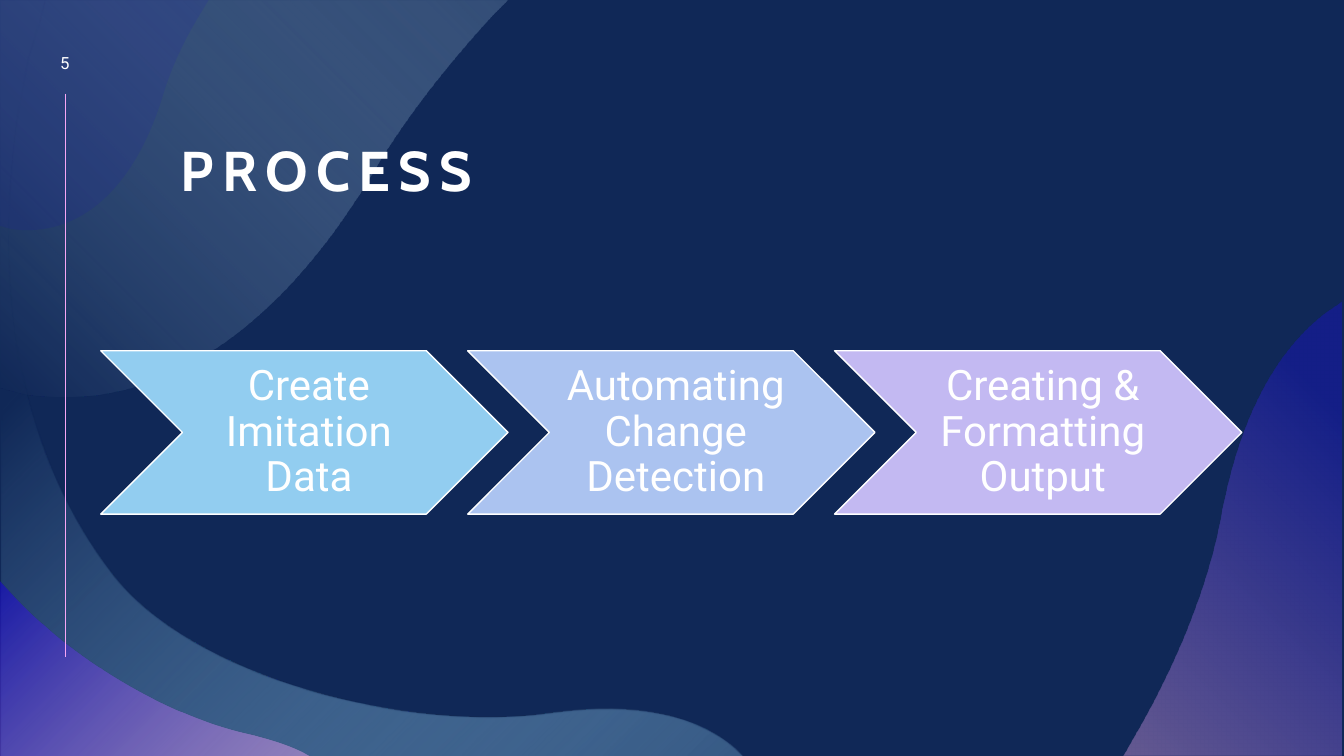
from lxml import etree
from pptx import Presentation
from pptx import util as u
from pptx.dml.color import RGBColor
from pptx.enum import shapes, text
from pptx.oxml import ns

NAVY, WHITE, SKY, PINK, BLUE = "102857", "FFFFFF", "92CDF0", "F6A6F4", "180DC2"


def color(code):
    return RGBColor.from_string(code)


def length(inches):
    return u.Cm(inches * 2.54)


def add(parent, tag, **attributes):
    return etree.SubElement(parent, ns.qn(tag), attributes)


def write(frame, content, size, font="Roboto", bold=False, align="LEFT", anchor="MIDDLE",
          line_spacing=1.0, letter_spacing=0, insets=(0.1, 0.05, 0.1, 0.05)):
    frame.word_wrap = True
    frame.auto_size = text.MSO_AUTO_SIZE.NONE
    frame.vertical_anchor = text.MSO_ANCHOR[anchor]
    frame.margin_left, frame.margin_top, frame.margin_right, frame.margin_bottom = map(
        length, insets)
    para = frame.paragraphs[0]
    para.alignment = text.PP_ALIGN[align]
    para.line_spacing = line_spacing
    span = para.add_run()
    span.text = content
    span.font.name, span.font.size, span.font.bold = font, u.Pt(size), bold
    span.font.color.rgb = color(WHITE)
    if letter_spacing:
        span.font._element.set("spc", str(letter_spacing * 100))


class Slide:
    def __init__(self, deck):
        self.page = deck.slides.add_slide(deck.slide_layouts[5])
        self.page.background.fill.solid()
        self.page.background.fill.fore_color.rgb = color(NAVY)

    def wave(self, start, segments, stops, angle=None, focus=None):
        """Draw a closed outline: pairs are lines, sixes are cubic curves."""
        builder = self.page.shapes.build_freeform(*map(length, start))
        builder.add_line_segments(
            [tuple(map(length, segment[-2:])) for segment in segments], close=True)
        shape = builder.convert_to_shape()
        lines = list(shape._element.spPr.iter(ns.qn("a:lnTo")))
        for line, segment in zip(lines, segments):
            if len(segment) == 6:
                self.bend(shape, line, segment)
        shape.shadow.inherit = False
        shape.line.fill.background()
        shape.fill.background()
        self.translucent(shape, stops, angle, focus)

    def bend(self, shape, line, controls):
        """Turn a straight segment of the outline into a cubic curve."""
        bezier = etree.Element(ns.qn("a:cubicBezTo"))
        for x, y in zip(controls[::2], controls[1::2]):
            add(bezier, "a:pt", x=str(length(x) - shape.left), y=str(length(y) - shape.top))
        line.getparent().replace(line, bezier)

    def translucent(self, shape, stops, angle, focus):
        """Fill with (position, colour, opacity) stops; one stop gives a plain fill."""
        def add_color(parent, code, opacity):
            add(add(parent, "a:srgbClr", val=code), "a:alpha", val=str(opacity * 1000))

        properties = shape._element.spPr
        empty = properties.find(ns.qn("a:noFill"))
        if len(stops) == 1:
            fill = etree.Element(ns.qn("a:solidFill"))
            add_color(fill, *stops[0][1:])
        else:
            fill = etree.Element(ns.qn("a:gradFill"), rotWithShape="1")
            stop_list = add(fill, "a:gsLst")
            for position, code, opacity in stops:
                add_color(add(stop_list, "a:gs", pos=str(position * 1000)), code, opacity)
            if focus:
                sides = {side: str(value * 1000) for side, value in zip("ltrb", focus)}
                add(add(fill, "a:path", path="circle"), "a:fillToRect", **sides)
            else:
                add(fill, "a:lin", ang=str(angle * 60000), scaled="0")
        properties.replace(empty, fill)

    def line(self, x1, y1, x2, y2, code, width):
        rule = self.page.shapes.add_connector(
            shapes.MSO_CONNECTOR.STRAIGHT, *map(length, (x1, y1, x2, y2)))
        rule.line.color.rgb = color(code)
        rule.line.width = u.Pt(width)
        add(rule._element.spPr, "a:effectLst")

    def title(self, content, left, top, width, height, **style):
        box = self.page.shapes.title
        box.left, box.top, box.width, box.height = map(length, (left, top, width, height))
        write(box.text_frame, content, **style)
        self.page.shapes._spTree.append(box._element)  # bring in front of the waves

    def label(self, content, left, top, width, height, **style):
        box = self.page.shapes.add_textbox(*map(length, (left, top, width, height)))
        write(box.text_frame, content, **style)

    def chevron(self, left, top, width, height, fill):
        shape = self.page.shapes.add_shape(
            shapes.MSO_SHAPE.CHEVRON, *map(length, (left, top, width, height)))
        shape.shadow.inherit = False
        shape.fill.solid()
        shape.fill.fore_color.rgb = color(fill)
        shape.line.color.rgb = color(WHITE)
        shape.line.width = u.Pt(1)


def main():
    deck = Presentation()
    deck.slide_width, deck.slide_height = length(13.333), length(7.5)
    slide = Slide(deck)

    # Background waves
    slide.wave((0.02, 0), [
        (0.46, 0), (0.45, 0.02), (0.41, 0.2, 0.36, 0.38, 0.29, 0.58),
        (-0.22, 2.95, 0.32, 4.65, 1.11, 5.68), (1.89, 6.72, 4.07, 7.28, 5.48, 7.07),
        (6.34, 6.95, 6.93, 7.11, 7.29, 7.42), (7.37, 7.5), (0.02, 7.5),
    ], [(0, SKY, 30), (73, NAVY, 100)], focus=(100, 100, 0, 0))
    slide.wave((0.01, 0.01), [
        (5.03, 0.01), (4.88, 0.16), (4.43, 0.65, 4.03, 1.16, 3.73, 1.66),
        (2.63, 3.53, 1.34, 4.09, 0.23, 3.9), (0.01, 3.84),
    ], [(0, NAVY, 56), (99, "BEE1F6", 20)], angle=315)
    slide.wave((0, 0), [
        (2.07, 0), (2.01, 0.1), (1.83, 0.39, 1.69, 0.69, 1.61, 0.97),
        (1.28, 2.02, 0.67, 2.36, 0.1, 2.27), (0, 2.24),
    ], [(0, BLUE, 11)])
    slide.wave((0, 5.76), [
        (0.11, 5.88), (0.71, 6.54, 1.65, 7.09, 2.42, 7.27),
        (2.64, 7.32, 2.84, 7.38, 3, 7.46), (3.07, 7.5), (0, 7.5),
    ], [(0, PINK, 45), (98, BLUE, 67)], focus=(100, 100, 0, 0))
    slide.wave((13.31, 2.99), [
        (13.31, 7.5), (11.15, 7.5), (11.27, 7.29), (11.69, 6.56, 12, 5.78, 12.12, 5.09),
        (12.31, 4.09, 12.68, 3.46, 13.15, 3.1),
    ], [(0, "F7AFF5", 36), (83, "1C0FE1", 35)], focus=(0, 100, 100, 0))

    # Side rule, title and page number
    slide.line(0.65, 0.93, 0.65, 6.52, PINK, 0.5)
    slide.title("PROCESS", 1.69, 0.9, 9.71, 1.17, size=40, font="Cabin", bold=True,
                anchor="BOTTOM", line_spacing=0.9, letter_spacing=6)
    slide.label("5", 0.36, 0.45, 0.57, 0.34, size=12, align="CENTER")

    # Process steps
    steps = [("Create Imitation Data", SKY), ("Automating Change Detection", "ABC3F0"),
             ("Creating & Formatting Output", "C3B9F2")]
    top, width, height = 3.48, 4.04, 1.62
    for index, (name, fill) in enumerate(steps):
        left = 1 + 3.64 * index
        slide.chevron(left, top, width, height, fill)
        slide.label(name, left + height / 2, top, width - height, height, size=30,
                    align="CENTER", line_spacing=0.9, insets=(0.13, 0.04, 0.04, 0.04))

    deck.save("out.pptx")


if __name__ == "__main__":
    main()
